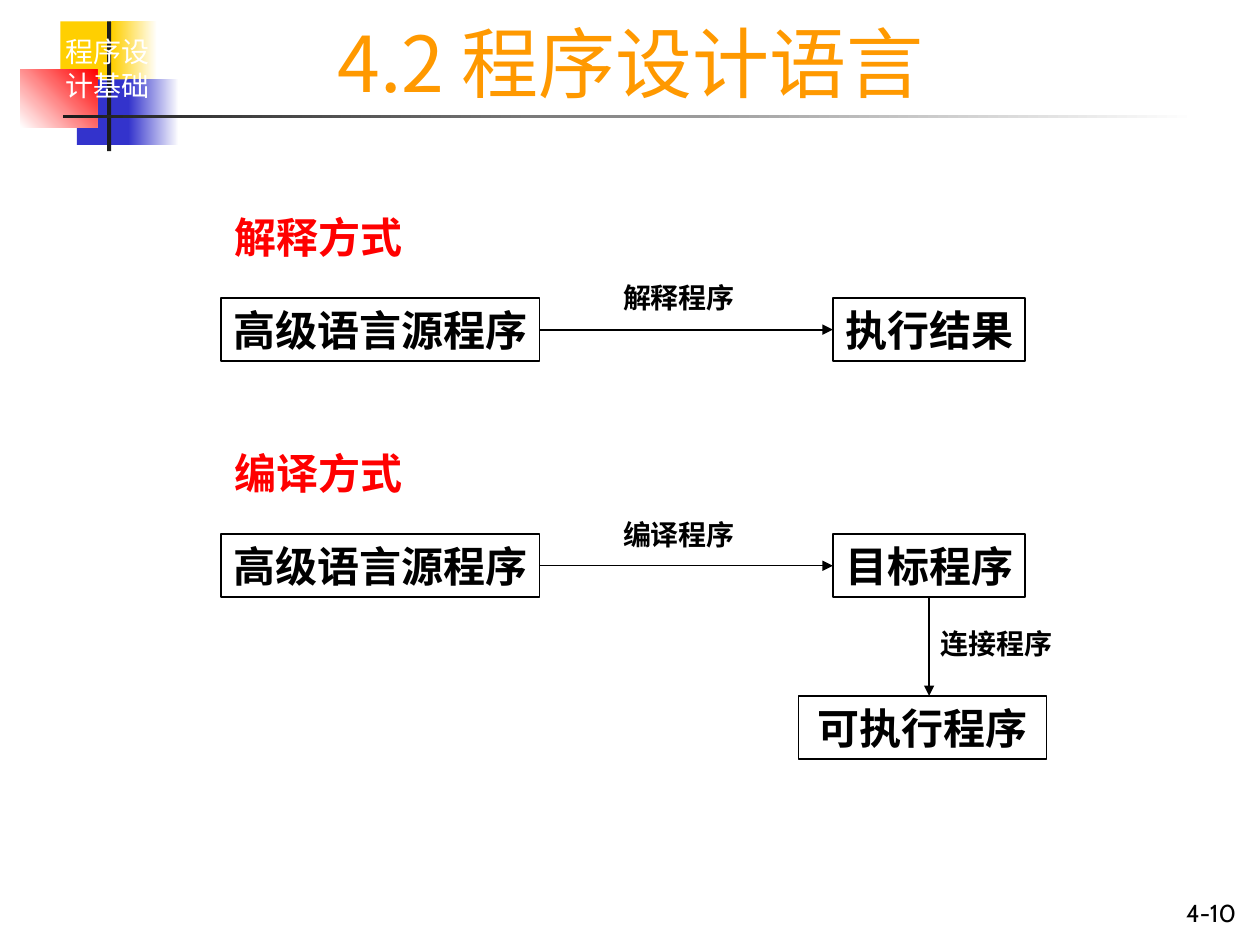
from lxml import etree
from pptx import Presentation
from pptx.dml.color import RGBColor
from pptx.enum import shapes, text
from pptx.oxml import ns
from pptx.util import Cm, Pt

YELLOW = RGBColor(0xFF, 0xCF, 0x01)
BLUE = RGBColor(0x33, 0x33, 0xCC)
RED = RGBColor(0xFF, 0x00, 0x00)
CHARCOAL = RGBColor(0x1C, 0x1C, 0x1C)
BLACK = RGBColor(0x00, 0x00, 0x00)
WHITE = RGBColor(0xFF, 0xFF, 0xFF)
ORANGE = RGBColor(0xFF, 0x99, 0x00)
CJK_FONT = "Noto Sans CJK SC"
LATIN_FONT = "Cabin"
BOX_HEIGHT = 1.27
LABEL_WIDTH, LABEL_HEIGHT = 2.77, 0.91


def write(frame, wording, size, color, bold=False, face=CJK_FONT,
          align=text.PP_ALIGN.LEFT, anchor=text.MSO_ANCHOR.TOP, wrap=False):
    """Fill a text frame with one formatted paragraph."""
    frame.word_wrap = wrap
    frame.vertical_anchor = anchor
    paragraph = frame.paragraphs[0]
    paragraph.text = wording
    paragraph.alignment = align
    font = paragraph.font
    font.name, font.size, font.bold = face, Pt(size), bold
    font.color.rgb = color
    defaults = paragraph._p.pPr.find(ns.qn("a:defRPr"))
    etree.SubElement(defaults, ns.qn("a:ea")).set("typeface", CJK_FONT)
    return paragraph


def add_label(slide, box, wording, size, color, **style):
    """Add a text box and return its paragraph."""
    label = slide.shapes.add_textbox(*map(Cm, box))
    return write(label.text_frame, wording, size, color, **style)


def add_block(slide, box):
    """Add a rectangle without a shadow."""
    block = slide.shapes.add_shape(shapes.MSO_SHAPE.RECTANGLE, *map(Cm, box))
    block.shadow.inherit = False
    return block


def add_stage(slide, box, wording):
    """Add an outlined box that holds one stage of the process."""
    stage = add_block(slide, box)
    stage.fill.background()
    stage.line.color.rgb = BLACK
    stage.line.width = Pt(1)
    write(stage.text_frame, wording, 24, BLACK, bold=True,
          align=text.PP_ALIGN.CENTER)
    return stage


def add_arrow(slide, start, end, width):
    """Add a black arrow between two points."""
    arrow = slide.shapes.add_connector(
        shapes.MSO_CONNECTOR.STRAIGHT, *map(Cm, (*start, *end)))
    arrow.line.color.rgb = BLACK
    arrow.line.width = Pt(width)
    outline = arrow.line._get_or_add_ln()
    etree.SubElement(outline, ns.qn("a:tailEnd")).set("type", "triangle")
    etree.SubElement(arrow._element.spPr, ns.qn("a:effectLst"))
    return arrow


def add_emblem(slide, left, top):
    """Place the coloured squares, the cross lines and the course name."""
    parts = [
        ((0.81, 0, 1.22, 1.32), [YELLOW], 0),
        ((1.85, 0, 0.91, 1.32), [YELLOW, WHITE], 0),
        ((1.14, 1.17, 1.17, 1.32), [BLUE], 0),
        ((2.18, 1.17, 1.02, 1.32), [BLUE, WHITE], 0),
        ((0, 0.97, 1.55, 1.17), [WHITE, RED], 45),
        ((1.75, 0, 0.08, 2.62), [CHARCOAL], 0),
        ((0.86, 1.88, 22.86, 0.08), [CHARCOAL, WHITE], 0),
    ]
    for (x, y, width, height), colors, angle in parts:
        part = add_block(slide, (left + x, top + y, width, height))
        part.line.fill.background()
        if len(colors) == 1:
            part.fill.solid()
            part.fill.fore_color.rgb = colors[0]
            continue
        part.fill.gradient()
        part.fill.gradient_angle = angle
        for stop, color in zip(part.fill.gradient_stops, colors):
            stop.color.rgb = color
    course = add_label(slide, (left + 0.63, top + 0.15, 2.26, 1.68),
                       "程序设计基础", 16, WHITE, face=LATIN_FONT,
                       align=text.PP_ALIGN.CENTER, wrap=True)
    course.space_before = Pt(4)


def place_title(slide, box):
    """Move and format the title placeholder."""
    title = slide.shapes.title
    title.left, title.top, title.width, title.height = map(Cm, box)
    write(title.text_frame, "4.2 程序设计语言", 44, ORANGE,
          align=text.PP_ALIGN.CENTER, anchor=text.MSO_ANCHOR.BOTTOM, wrap=True)


def add_mode(slide, left, top, heading, tool, outcome, arrow_width):
    """Place a heading and the step from source program to outcome."""
    source_width, outcome_width, outcome_left = 6.43, 3.88, left + 12.34
    row = top + 1.87
    middle = row + BOX_HEIGHT / 2
    add_label(slide, (left + 0.02, top, 4.4, BOX_HEIGHT), heading, 24, RED,
              bold=True, wrap=True)
    source_stage = add_stage(slide, (left, row, source_width, BOX_HEIGHT),
                             "高级语言源程序")
    outcome_stage = add_stage(
        slide, (outcome_left, row, outcome_width, BOX_HEIGHT), outcome)
    add_label(slide, (left + 7.86, top + 1.4, LABEL_WIDTH, LABEL_HEIGHT),
              tool, 16, BLACK, bold=True)
    step = add_arrow(slide, (left + source_width, middle),
                     (outcome_left, middle), arrow_width)
    step.begin_connect(source_stage, 3)
    step.end_connect(outcome_stage, 1)
    return outcome_stage


def add_linking(slide, left, top, object_program):
    """Place the step from the object program down to the executable."""
    width, drop = 5, 2.01
    center = object_program.left.cm + object_program.width.cm / 2
    add_stage(slide, (left, top + drop, width, BOX_HEIGHT), "可执行程序")
    step = add_arrow(slide, (center, top), (center, top + drop), 0.75)
    step.begin_connect(object_program, 2)
    add_label(slide, (left + 2.62, top + 0.48, LABEL_WIDTH, LABEL_HEIGHT),
              "连接程序", 16, BLACK, bold=True)


def main():
    """Build the slide and save it."""
    deck = Presentation()
    deck.slide_width, deck.slide_height = Cm(25.4), Cm(19.05)
    slide = deck.slides.add_slide(deck.slide_layouts.get_by_name("Title Only"))
    add_emblem(slide, 0.41, 0.43)
    place_title(slide, (3.71, 0.2, 18.01, 2.11))
    add_mode(slide, 4.45, 4.14, "解释方式", "解释程序", "执行结果", 1)
    object_program = add_mode(slide, 4.45, 8.9, "编译方式", "编译程序",
                              "目标程序", 0.75)
    add_linking(slide, 16.1, 12.02, object_program)
    add_label(slide, (22.1, 17.98, 3.07, 0.84), "4-10", 14, BLACK,
              face=LATIN_FONT, align=text.PP_ALIGN.RIGHT,
              anchor=text.MSO_ANCHOR.BOTTOM, wrap=True)
    deck.save("out.pptx")


if __name__ == "__main__":
    main()
